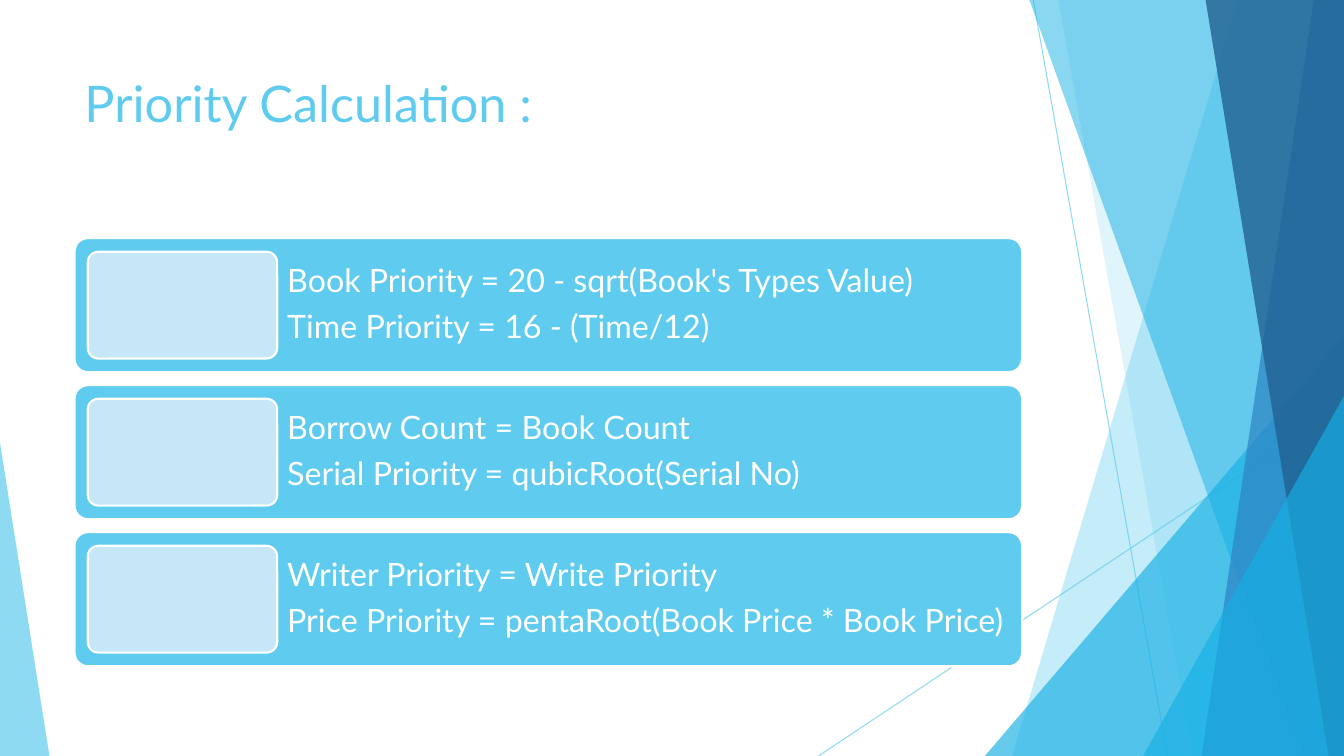
from pptx import Presentation
from pptx import util as u
from pptx.dml.color import RGBColor
from pptx.enum import shapes, text
from pptx.oxml.ns import qn
from lxml import etree

SKY = RGBColor(0x5F, 0xCB, 0xEF)
CYAN = RGBColor(0x17, 0xB0, 0xE4)
BLUE = RGBColor(0x2E, 0x83, 0xC3)
NAVY = RGBColor(0x22, 0x62, 0x92)
PALE = RGBColor(0xC5, 0xE7, 0xF7)
WHITE = RGBColor(0xFF, 0xFF, 0xFF)


def write(tf, lines, size, color, font="Lato", spacing=1.0, after=0):
    for i, line in enumerate(lines):
        p = tf.paragraphs[0] if i == 0 else tf.add_paragraph()
        p.line_spacing = spacing
        p.space_after = u.Pt(after)
        r = p.add_run()
        r.text = line
        r.font.name = font
        r.font.size = u.Pt(size)
        r.font.color.rgb = color


def set_alpha(fill_parent, percent):
    clr = fill_parent.find(qn("a:solidFill")).find(qn("a:srgbClr"))
    etree.SubElement(clr, qn("a:alpha")).set("val", str(percent * 1000))


class Deck:
    def __init__(self):
        self.prs = Presentation()
        self.prs.slide_width = u.Inches(13.33)
        self.prs.slide_height = u.Inches(7.5)
        self.s = self.prs.slides.add_slide(self.prs.slide_layouts[6])

    def x(self, percent):
        return round(self.prs.slide_width * percent / 100)

    def y(self, percent):
        return round(self.prs.slide_height * percent / 100)

    def box(self, left, top, width, height):
        return self.x(left), self.y(top), self.x(width), self.y(height)

    def paint(self, sp, color, alpha=None, border=None):
        sp.shadow.inherit = False
        sp.fill.solid()
        sp.fill.fore_color.rgb = color
        if alpha is not None:
            set_alpha(sp._element.spPr, alpha)
        if border is None:
            sp.line.fill.background()
        else:
            sp.line.color.rgb = border
            sp.line.width = u.Pt(1.5)

    def line(self, x1, y1, x2, y2):
        c = self.s.shapes.add_connector(
            shapes.MSO_CONNECTOR.STRAIGHT, self.x(x1), self.y(y1), self.x(x2), self.y(y2))
        c.line.color.rgb = SKY
        c.line.width = u.Pt(0.75)
        spPr = c._element.spPr
        set_alpha(spPr.find(qn("a:ln")), 70)
        etree.SubElement(spPr, qn("a:effectLst"))

    def panel(self, top_x, bottom_x, color, alpha):
        fb = self.s.shapes.build_freeform(self.x(top_x), 0)
        fb.add_line_segments([(self.x(100), 0), (self.x(100), self.y(100)),
                              (self.x(bottom_x), self.y(100))])
        self.paint(fb.convert_to_shape(), color, alpha)

    def triangle(self, left, top, width, apex, color, alpha):
        sp = self.s.shapes.add_shape(
            shapes.MSO_SHAPE.ISOSCELES_TRIANGLE, *self.box(left, top, width, 100 - top))
        sp.adjustments[0] = apex
        self.paint(sp, color, alpha)

    def card(self, left, top, width, height, color):
        sp = self.s.shapes.add_shape(
            shapes.MSO_SHAPE.ROUNDED_RECTANGLE, *self.box(left, top, width, height))
        sp.adjustments[0] = 0.1
        self.paint(sp, color, border=WHITE)

    def text(self, left, top, width, height, lines, anchor, **fmt):
        tf = self.s.shapes.add_textbox(*self.box(left, top, width, height)).text_frame
        tf.word_wrap = True
        tf.vertical_anchor = anchor
        write(tf, lines, **fmt)
        return tf


def main():
    deck = Deck()
    deck.line(76.88, 0, 86.87, 100)
    deck.line(100, 53.73, 60.9, 100)
    deck.panel(92.1, 75.3, SKY, 36)
    deck.panel(78.75, 88.75, SKY, 20)
    deck.triangle(73.28, 44.4, 26.72, 1, CYAN, 66)
    deck.panel(76.6, 96.85, CYAN, 50)
    deck.panel(97.75, 89.4, BLUE, 70)
    deck.panel(89.7, 98.85, NAVY, 80)
    deck.triangle(85.05, 52.4, 14.95, 1, CYAN, 66)
    deck.triangle(0, 58.53, 3.68, 0, SKY, 70)

    left, width = 5.55, 70.5
    deck.text(left, 8.93, width, 19.2, ["Priority Calculation :"],
              text.MSO_ANCHOR.TOP, size=36, color=SKY)

    formulas = [
        ["Book Priority = 20 - sqrt(Book's Types Value)", "Time Priority = 16 - (Time/12)"],
        ["Borrow Count = Book Count", "Serial Priority = qubicRoot(Serial No)"],
        ["Writer Priority = Write Priority",
         "Price Priority = pentaRoot(Book Price * Book Price)"],
    ]
    first, pitch, height = 31.5, 19.45, 17.73
    thumb_left, thumb_width, thumb_height = 6.53, 14.1, 14.13
    text_left = thumb_left + thumb_width
    for i, lines in enumerate(formulas):
        top = first + i * pitch
        deck.card(left, top, width, height, SKY)
        tf = deck.text(text_left, top, left + width - text_left, height, lines,
                       text.MSO_ANCHOR.MIDDLE, size=23, color=WHITE, spacing=0.9, after=8)
        tf.margin_left = tf.margin_right = tf.margin_top = tf.margin_bottom = u.Inches(0.1)
        deck.card(thumb_left, top + (height - thumb_height) / 2,
                  thumb_width, thumb_height, PALE)

    deck.prs.save("out.pptx")


if __name__ == "__main__":
    main()
